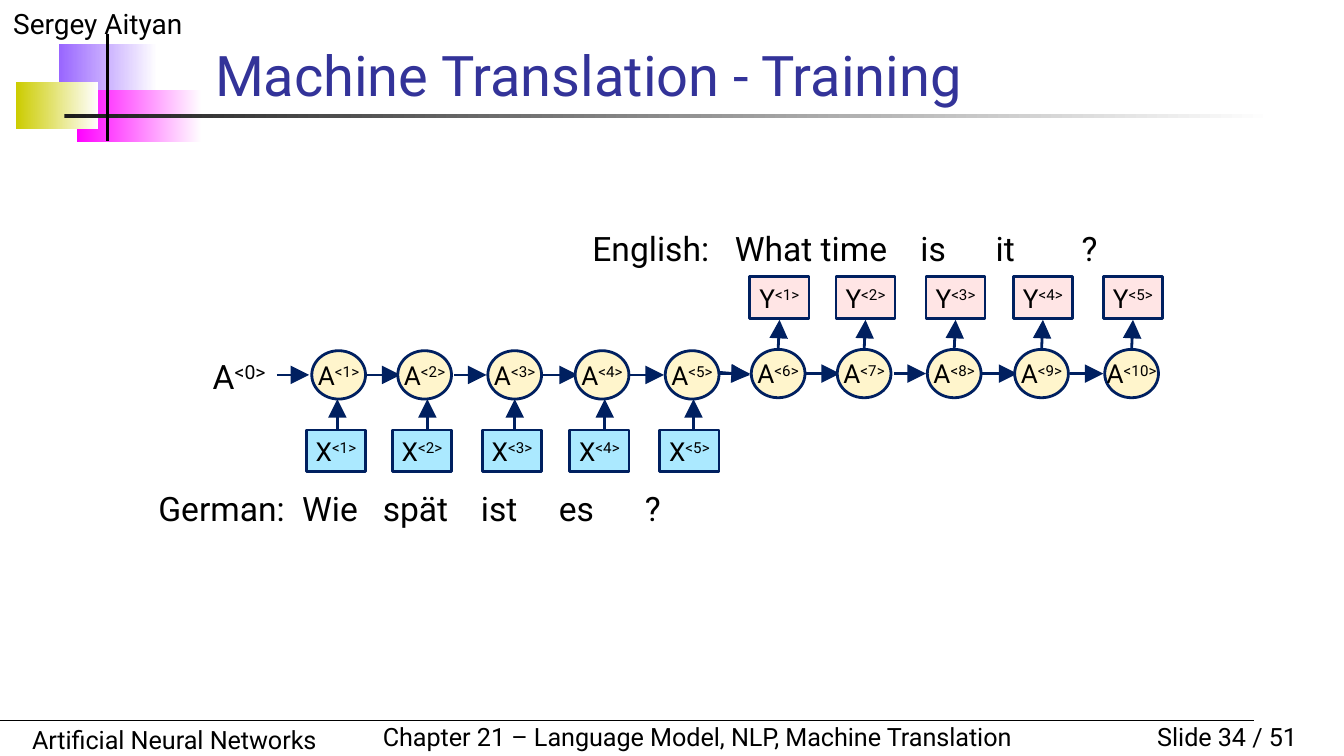
from lxml import etree
from pptx import Presentation
from pptx.dml.color import RGBColor
from pptx.enum.shapes import MSO_CONNECTOR, MSO_SHAPE
from pptx.enum.text import MSO_ANCHOR, MSO_AUTO_SIZE, PP_ALIGN
from pptx.oxml.ns import qn
from pptx.util import Inches, Pt

RECT, OVAL = MSO_SHAPE.RECTANGLE, MSO_SHAPE.OVAL
LEFT, CENTER, RIGHT = PP_ALIGN.LEFT, PP_ALIGN.CENTER, PP_ALIGN.RIGHT
FONT = "Roboto"
BLACK, NAVY = "000000", "002060"
CREAM, PINK, SKY = "FFF5CC", "FFE5E5", "ABE9FF"
STEPS = [0, 0.64, 1.31, 1.96, 2.63]
STEMS = [0, 0.67, 1.32, 1.99, 2.65]
LINKS = [(0, 0.26), (0.66, 0.9), (1.3, 1.58), (1.97, 2.22)]


def color(code):
    return RGBColor.from_string(code)


def style(para, size, tint=BLACK, align=LEFT):
    para.alignment = align
    para.font.name = FONT
    para.font.size = Pt(size)
    para.font.color.rgb = color(tint)


def set_index(para, base, index):
    """Write a letter with a raised index such as <1>."""
    para.add_run().text = base
    run = para.add_run()
    run.text = f"<{index}>"
    run._r.get_or_add_rPr().set("baseline", "30000")


def add_text(slide, box, text, size, align=LEFT, wrap=True):
    frame = slide.shapes.add_textbox(*map(Inches, box)).text_frame
    frame.word_wrap = wrap
    para = frame.paragraphs[0]
    para.text = text
    style(para, size, align=align)
    return para


def add_words(slide, box, words, stops):
    """Set a caption whose words stand at tab stops."""
    para = add_text(slide, box, "\t".join(words), 18)
    tabs = etree.Element(qn("a:tabLst"))
    for stop in stops:
        etree.SubElement(tabs, qn("a:tab"), pos=str(Inches(stop)), algn="l")
    para._p.get_or_add_pPr().insert(0, tabs)


def add_line(slide, start, end, tint=NAVY, width=1.5, arrow=True):
    ends = map(Inches, (*start, *end))
    line = slide.shapes.add_connector(MSO_CONNECTOR.STRAIGHT, *ends)
    line.line.color.rgb = color(tint)
    line.line.width = Pt(width)
    if arrow:
        etree.SubElement(line.line._get_or_add_ln(), qn("a:tailEnd"),
                         type="triangle", w="lg", len="lg")
    etree.SubElement(line._element.spPr, qn("a:effectLst"))


def add_fade(slide, box, tint):
    """Draw a bar that fades to white on the right."""
    bar = slide.shapes.add_shape(RECT, *map(Inches, box))
    bar.shadow.inherit = False
    bar.line.fill.background()
    bar.fill.gradient()
    bar.fill.gradient_angle = 0
    for stop, place, code in zip(bar.fill.gradient_stops, (0, 1), (tint, "FFFFFF")):
        stop.position = place
        stop.color.rgb = color(code)


def add_node(slide, kind, box, tint, base, index):
    node = slide.shapes.add_shape(kind, *map(Inches, box))
    node.shadow.inherit = False
    node.fill.solid()
    node.fill.fore_color.rgb = color(tint)
    node.line.color.rgb = color(NAVY)
    node.line.width = Pt(1.5)
    frame = node.text_frame
    frame.margin_left = frame.margin_right = 0
    frame.margin_top = frame.margin_bottom = 0
    frame.word_wrap = False
    frame.vertical_anchor = MSO_ANCHOR.MIDDLE
    para = frame.paragraphs[0]
    set_index(para, base, index)
    style(para, 14, align=CENTER)


def add_row(slide, kind, left, top, size, tint, base, first=1):
    for i, step in enumerate(STEPS):
        add_node(slide, kind, (left + step, top, *size), tint, base, first + i)


def add_frame(slide):
    """Draw the title ornament, the author and the footer."""
    add_fade(slide, (0.44, 0.33, 0.73, 0.39), "9966FF")
    add_fade(slide, (0.57, 0.67, 0.93, 0.39), "FF00FF")
    add_fade(slide, (0.12, 0.61, 0.61, 0.35), "CCCC00")
    add_fade(slide, (0.48, 0.85, 9, 0.03), "1C1C1C")
    add_text(slide, (0, 0, 2.5, 0.35), "Sergey Aityan", 15)
    add_text(slide, (8.25, 5.32, 1.5, 0.33), "Slide 34 / 51", 13.5, RIGHT)
    add_text(slide, (0.14, 5.34, 3.7, 0.33), "Artificial Neural Networks", 13.5)
    chapter = "Chapter 21 – Language Model, NLP, Machine Translation"
    add_text(slide, (2.75, 5.32, 4.91, 0.33), chapter, 13.5, wrap=False)
    add_line(slide, (0, 5.36), (9.33, 5.36), BLACK, 0.75, False)
    add_line(slide, (0.8, 0.25), (0.8, 1.05), BLACK, 2, False)


def set_title(slide, text):
    title = slide.shapes.title
    title.left, title.top = Inches(1.5), Inches(0.31)
    title.width, title.height = Inches(8.33), Inches(0.54)
    frame = title.text_frame
    frame.auto_size = MSO_AUTO_SIZE.NONE
    frame.vertical_anchor = MSO_ANCHOR.BOTTOM
    frame.text = text
    style(frame.paragraphs[0], 30, "333399")


def add_links(slide, left, y):
    for start, end in LINKS:
        add_line(slide, (left + start, y), (left + end, y))


def add_encoder(slide):
    add_words(slide, (1.08, 3.58, 4.91, 0.4),
              ["German:", "Wie", "spät", "ist", "es", "?"],
              [1.07, 1.67, 2.4, 2.98, 3.62])
    start = add_text(slide, (1.43, 2.6, 0.7, 0.4), "", 18, CENTER)
    set_index(start, "A", 0)
    add_line(slide, (2.06, 2.79), (2.3, 2.79))
    add_links(slide, 2.72, 2.79)
    add_row(slide, OVAL, 2.32, 2.61, (0.4, 0.36), CREAM, "A")
    add_row(slide, RECT, 2.28, 3.2, (0.44, 0.31), SKY, "X")
    for stem in STEMS:
        add_line(slide, (2.51 + stem, 3.19), (2.51 + stem, 2.97))


def add_decoder(slide):
    add_words(slide, (4.31, 1.65, 4.33, 0.4),
              ["English:", "What time", "is", "it", "?"],
              [1.06, 2.44, 3, 3.64])
    add_line(slide, (5.33, 2.78), (5.58, 2.78))
    add_line(slide, (5.34, 2.77), (5.58, 2.79))
    add_links(slide, 5.99, 2.78)
    add_row(slide, OVAL, 5.59, 2.6, (0.4, 0.36), CREAM, "A", 6)
    add_row(slide, RECT, 5.58, 2.06, (0.44, 0.31), PINK, "Y")
    for step in STEPS:
        add_line(slide, (5.79 + step, 2.6), (5.8 + step, 2.38))


def main():
    deck = Presentation()
    deck.slide_width = Inches(10)
    deck.slide_height = deck.slide_width * 9 // 16
    slide = deck.slides.add_slide(deck.slide_layouts[5])
    add_frame(slide)
    set_title(slide, "Machine Translation - Training")
    add_decoder(slide)
    add_encoder(slide)
    deck.save("out.pptx")


if __name__ == "__main__":
    main()
